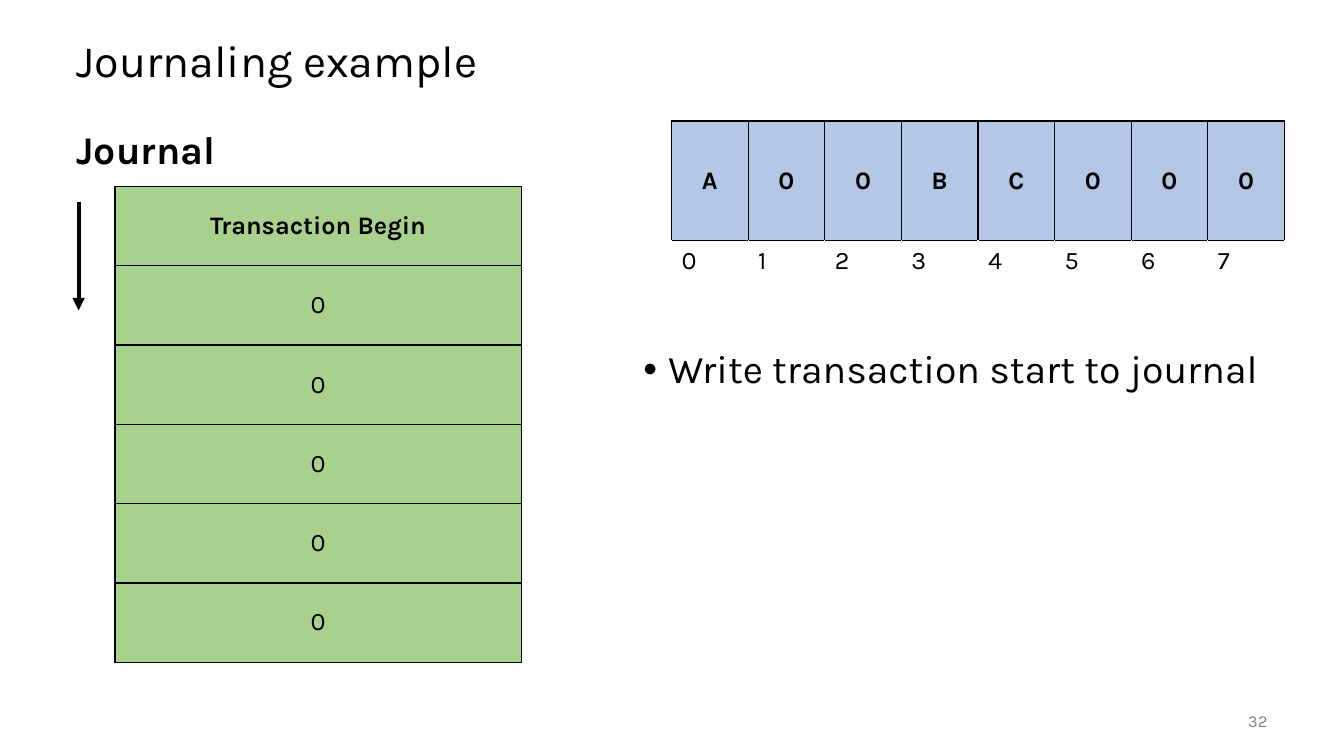
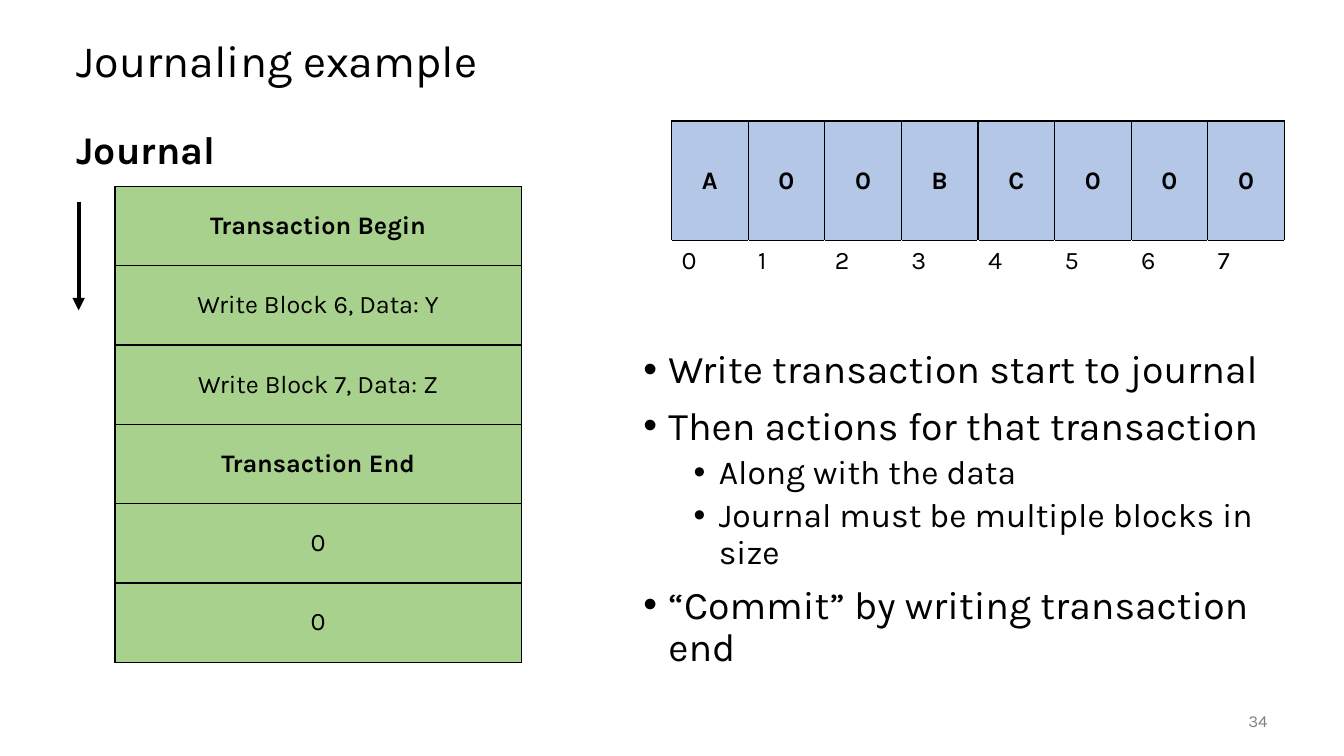
"""Build two slides that step through a journaling example."""
from lxml.etree import SubElement
from pptx import Presentation
from pptx.dml.color import RGBColor
from pptx.enum.shapes import MSO_CONNECTOR
from pptx.enum.text import MSO_ANCHOR, MSO_AUTO_SIZE, PP_ALIGN
from pptx.oxml import parse_xml
from pptx.oxml.ns import nsdecls, qn
from pptx.util import Emu, Pt

PX = 9144
FONT = "Karla"
BLACK, WHITE, GRAY = "000000", "FFFFFF", "808080"
BLUE, GREEN = "B4C7E7", "A9D18E"
hue = RGBColor.from_string

BOXES = [(66, 25, 1200, 75), (66, 125, 575, 550), (628, 342, 639, 333)]
LEVELS = [
    {"size": 28, "left": 25, "before": 10},
    {"size": 24, "left": 75, "before": 5},
]
BLOCKS = "A00BC000"
PAGES = [
    ("32", ["Transaction Begin", "0", "0", "0", "0", "0"],
     [(0, "Write transaction start to journal")]),
    ("34", ["Transaction Begin", "Write Block 6, Data: Y",
            "Write Block 7, Data: Z", "Transaction End", "0", "0"],
     [(0, "Write transaction start to journal"),
      (0, "Then actions for that transaction"),
      (1, "Along with the data"),
      (1, "Journal must be multiple blocks in size"),
      (0, "“Commit” by writing transaction end")]),
]


def write(para, text, size, color=BLACK, bold=False, **form):
    """Add one run of text and format its paragraph."""
    run = para.add_run()
    run.text = text
    run.font.color.rgb = hue(color)
    for key, val in {"name": FONT, "size": Pt(size), "bold": bold}.items():
        setattr(run.font, key, val)
    for key, val in form.items():
        setattr(para, key, val)


def frame(cell, fill, edges):
    """Draw the left, right, top and bottom edges of a cell and fill it."""
    props = cell._tc.get_or_add_tcPr()
    for side, color in zip("LRTB", edges):
        props.append(parse_xml(
            f'<a:ln{side} {nsdecls("a")} w="12700"><a:solidFill>'
            f'<a:srgbClr val="{color}"/></a:solidFill></a:ln{side}>'))
    if fill:
        cell.fill.solid()
        cell.fill.fore_color.rgb = hue(fill)
    else:
        cell.fill.background()


deck = Presentation()
deck.slide_width, deck.slide_height = 1333 * PX, 750 * PX

for page, steps, points in PAGES:
    slide = deck.slides.add_slide(deck.slide_layouts[3])
    shapes = slide.shapes

    for holder, box in zip(slide.placeholders, BOXES):
        for key, val in zip(("left", "top", "width", "height"), box):
            setattr(holder, key, Emu(val * PX))
        holder.text_frame.auto_size = MSO_AUTO_SIZE.NONE
        holder.text_frame.word_wrap = True
    title, head, body = slide.placeholders

    title.text_frame.vertical_anchor = MSO_ANCHOR.MIDDLE
    write(title.text_frame.paragraphs[0], "Journaling example", 32,
          alignment=PP_ALIGN.LEFT, line_spacing=0.9)

    para = head.text_frame.paragraphs[0]
    props = para._p.get_or_add_pPr()
    props.set("marL", "0")
    props.set("indent", "0")
    SubElement(props, qn("a:buNone"))
    write(para, "Journal", 28, bold=True, line_spacing=0.9, space_before=Pt(0))

    for row, (level, text) in enumerate(points):
        para = body.text_frame.add_paragraph() if row else body.text_frame.paragraphs[0]
        look = LEVELS[level]
        props = para._p.get_or_add_pPr()
        props.set("marL", str(look["left"] * PX))
        props.set("indent", str(-25 * PX))
        SubElement(props, qn("a:buFont"), typeface="Arial")
        SubElement(props, qn("a:buChar"), char="•")
        write(para, text, look["size"], level=level, line_spacing=0.9,
              space_before=Pt(look["before"] if row else 0))

    note = shapes.add_textbox(1167 * PX, 695 * PX, 100 * PX, 40 * PX).text_frame
    note.word_wrap = True
    note.vertical_anchor = MSO_ANCHOR.MIDDLE
    write(note.paragraphs[0], page, 12, GRAY, alignment=PP_ALIGN.RIGHT)

    disk = shapes.add_table(2, 8, 666 * PX, 120 * PX, 608 * PX, 172 * PX).table
    log = shapes.add_table(6, 1, 114 * PX, 185 * PX, 403 * PX, 472 * PX).table
    for grid in (disk, log):
        grid.first_row = grid.horz_banding = False

    for row, high in zip(disk.rows, (119, 53)):
        row.height = Emu(high * PX)
    for col, text in enumerate(BLOCKS):
        block, label = disk.cell(0, col), disk.cell(1, col)
        frame(block, BLUE, [BLACK] * 4)
        block.vertical_anchor = MSO_ANCHOR.MIDDLE
        write(block.text_frame.paragraphs[0], text, 18, bold=True,
              alignment=PP_ALIGN.CENTER)
        frame(label, None, [WHITE, WHITE, BLACK, WHITE])
        write(label.text_frame.paragraphs[0], str(col), 18)

    for row, text in enumerate(steps):
        cell = log.cell(row, 0)
        frame(cell, GREEN, [BLACK] * 4)
        cell.vertical_anchor = MSO_ANCHOR.MIDDLE
        write(cell.text_frame.paragraphs[0], text, 18,
              bold=text.startswith("Transaction"), alignment=PP_ALIGN.CENTER)

    arrow = shapes.add_connector(
        MSO_CONNECTOR.STRAIGHT, 78 * PX, 200 * PX, 78 * PX, 308 * PX)
    arrow.line.color.rgb = hue(BLACK)
    arrow.line.width = Pt(3)
    SubElement(arrow.line._get_or_add_ln(), qn("a:tailEnd"), type="triangle")
    SubElement(arrow._element.spPr, qn("a:effectLst"))

deck.save("out.pptx")
